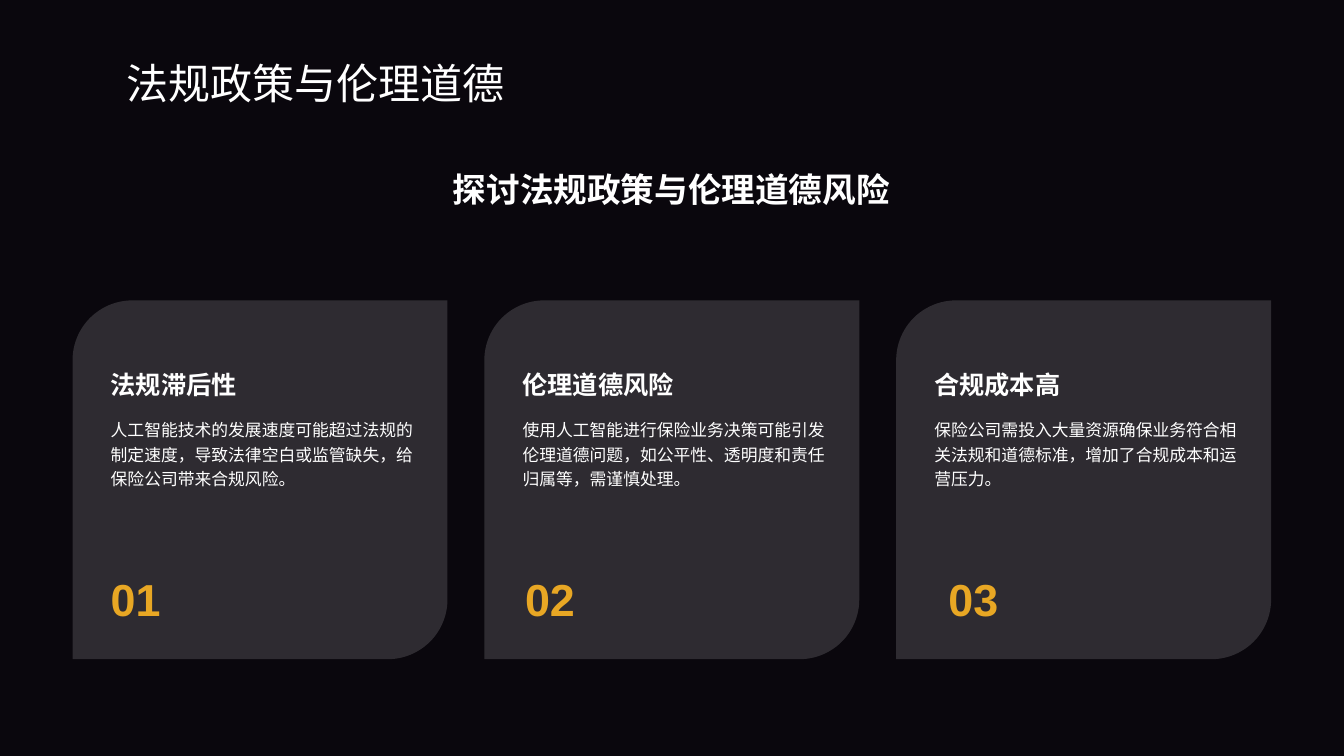
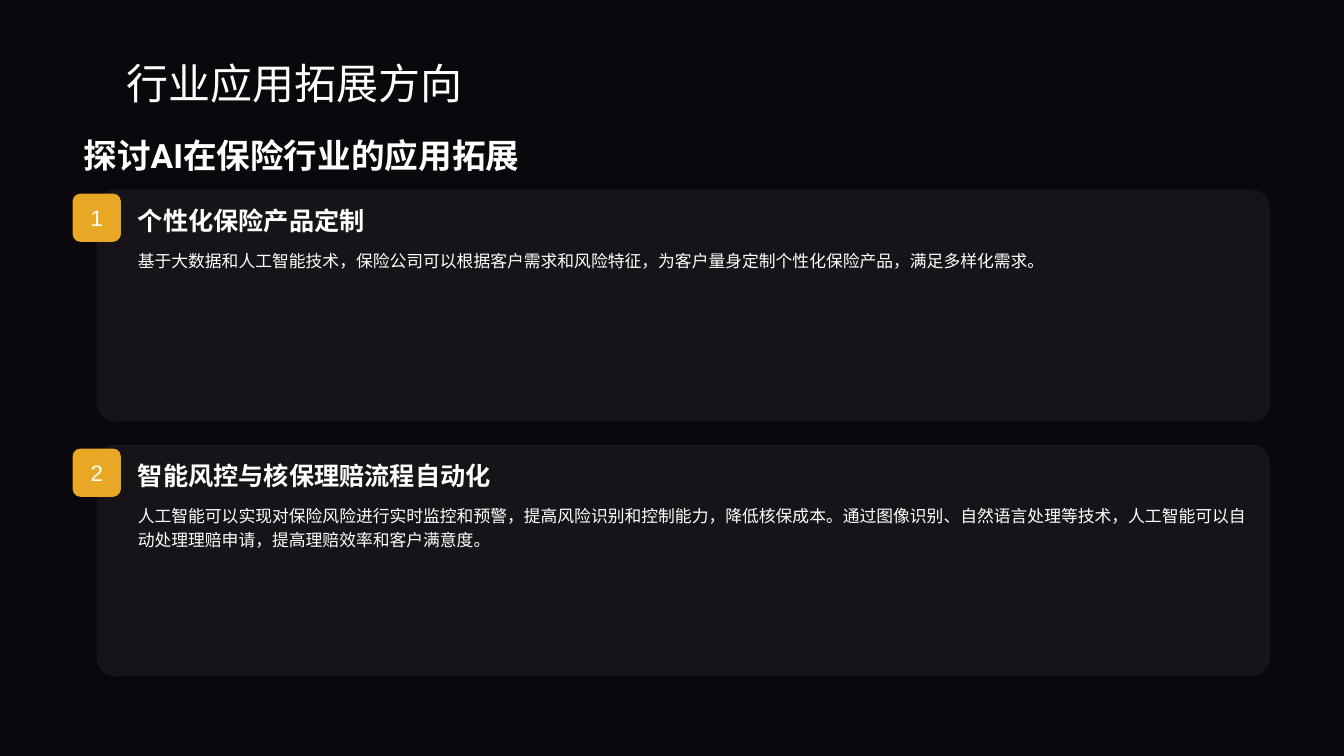
from lxml import etree
from pptx import Presentation
from pptx.dml.color import RGBColor
from pptx.enum.shapes import MSO_SHAPE
from pptx.enum.text import MSO_ANCHOR, PP_ALIGN
from pptx.oxml.ns import qn
from pptx.util import Inches, Pt

ROUNDED = MSO_SHAPE.ROUNDED_RECTANGLE
LEAF = MSO_SHAPE.ROUND_2_DIAG_RECTANGLE
TOP, MIDDLE, BOTTOM = MSO_ANCHOR.TOP, MSO_ANCHOR.MIDDLE, MSO_ANCHOR.BOTTOM
LEFT, CENTER = PP_ALIGN.LEFT, PP_ALIGN.CENTER

COLORS = {"background": "0A070D", "white": "FFFFFF", "accent": "E8A724"}
FONTS = {"title": "Noto Sans CJK JP", "text": "Roboto", "number": "Arial"}

CARD_LEFT, CARD_PITCH = 5.4, 30.64
PANEL_TOP, PANEL_PITCH = 25.07, 33.73

CARDS = [
    ("法规滞后性", "人工智能技术的发展速度可能超过法规的制定速度，导致法律空白或监管缺失，给保险公司带来合规风险。", 2.1),
    ("伦理道德风险", "使用人工智能进行保险业务决策可能引发伦理道德问题，如公平性、透明度和责任归属等，需谨慎处理。", 2.29),
    ("合规成本高", "保险公司需投入大量资源确保业务符合相关法规和道德标准，增加了合规成本和运营压力。", 3.15),
]
PANELS = [
    ("个性化保险产品定制",
     "基于大数据和人工智能技术，保险公司可以根据客户需求和风险特征，为客户量身定制个性化保险产品，满足多样化需求。"),
    ("智能风控与核保理赔流程自动化",
     "人工智能可以实现对保险风险进行实时监控和预警，提高风险识别和控制能力，降低核保成本。"
     "通过图像识别、自然语言处理等技术，人工智能可以自动处理理赔申请，提高理赔效率和客户满意度。"),
]


class Deck:
    """Holds the style and the current slide; boxes are left, top, width, height in percent of the slide."""

    def __init__(self):
        self.presentation = Presentation()
        self.presentation.slide_width = Inches(13.33)
        self.presentation.slide_height = Inches(7.5)
        self.slide = None

    def place(self, box):
        width, height = self.presentation.slide_width, self.presentation.slide_height
        return [int(share * side / 100) for share, side in zip(box, (width, height, width, height))]

    def add_slide(self, title):
        self.slide = self.presentation.slides.add_slide(self.presentation.slide_layouts[6])
        fill = self.slide.background.fill
        fill.solid()
        fill.fore_color.rgb = RGBColor.from_string(COLORS["background"])
        self.text(title, (8.7, 4.4, 83.32, 10.53), 30, font="title", anchor=BOTTOM)

    def label(self, shape, text, size, font="text", color="white", bold=False,
              anchor=TOP, align=LEFT, spacing=None, wrap=True):
        frame = shape.text_frame
        frame.word_wrap = wrap
        frame.vertical_anchor = anchor
        paragraph = frame.paragraphs[0]
        paragraph.text = text
        paragraph.alignment = align
        if spacing:
            paragraph.line_spacing = spacing
        paragraph.font.size = Pt(size)
        paragraph.font.bold = bold
        paragraph.font.color.rgb = RGBColor.from_string(COLORS[color])
        paragraph.font.name = FONTS[font]
        properties = paragraph._p.find(".//" + qn("a:defRPr"))
        etree.SubElement(properties, qn("a:ea"), typeface=FONTS[font])

    def text(self, text, box, size, **style):
        self.label(self.slide.shapes.add_textbox(*self.place(box)), text, size, **style)

    def heading(self, text, box, size=18, **style):
        self.text(text, box, size, bold=True, **style)

    def body(self, text, box):
        self.text(text, box, 12, spacing=1.2)

    def shape(self, kind, box, color="white", opacity=None, corner=None):
        shape = self.slide.shapes.add_shape(kind, *self.place(box))
        shape.shadow.inherit = False
        shape.line.fill.background()
        shape.fill.solid()
        shape.fill.fore_color.rgb = RGBColor.from_string(COLORS[color])
        if opacity is not None:
            tint = shape._element.spPr.find(qn("a:solidFill"))[0]
            etree.SubElement(tint, qn("a:alpha"), val=str(opacity * 1000))
        if corner is not None:
            shape.adjustments[0] = corner
        return shape

    def card(self, index, heading, body, number_indent):
        left = CARD_LEFT + index * CARD_PITCH
        self.shape(LEAF, (left, 39.73, 27.9, 47.47), opacity=15)
        self.heading(heading, (left + 2.1, 42.8, 24.08, 10.67), anchor=BOTTOM)
        self.body(body, (left + 2.1, 54.4, 24.08, 18.53))
        self.heading(f"{index + 1:02}", (left + number_indent, 74.93, 5.25, 8.53), 32,
                     font="number", color="accent", anchor=MIDDLE, wrap=False)

    def panel(self, index, heading, body):
        top = PANEL_TOP + index * PANEL_PITCH
        self.shape(ROUNDED, (7.2, top, 87.3, 30.67), opacity=5, corner=0.08)
        self.body(body, (9.52, top + 6.93, 84.15, 22.27))
        self.heading(heading, (9.52, top + 0.53, 84.15, 6.4), anchor=MIDDLE, spacing=1.2)
        badge = self.shape(ROUNDED, (CARD_LEFT, top + 0.53, 3.6, 6.4), color="accent")
        self.label(badge, str(index + 1), 16, font="number", anchor=MIDDLE, align=CENTER, wrap=False)


def main():
    deck = Deck()

    deck.add_slide("法规政策与伦理道德")
    deck.heading("探讨法规政策与伦理道德风险", (5.48, 20.67, 88.95, 7.6), 24, anchor=BOTTOM, align=CENTER)
    for index, card in enumerate(CARDS):
        deck.card(index, *card)

    deck.add_slide("行业应用拓展方向")
    deck.heading("探讨AI在保险行业的应用拓展", (5.48, 16.53, 89.1, 8), 24, anchor=MIDDLE)
    for index, panel in enumerate(PANELS):
        deck.panel(index, *panel)

    deck.presentation.save("out.pptx")


if __name__ == "__main__":
    main()
